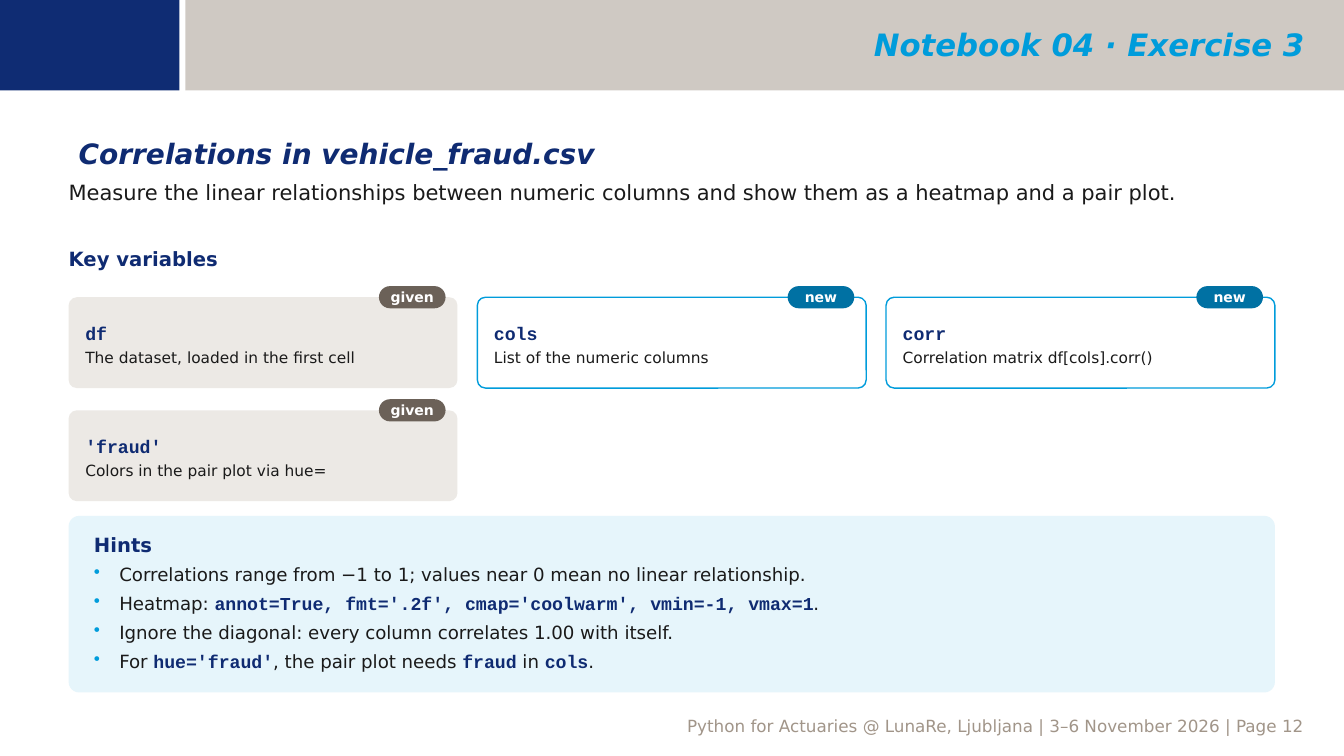
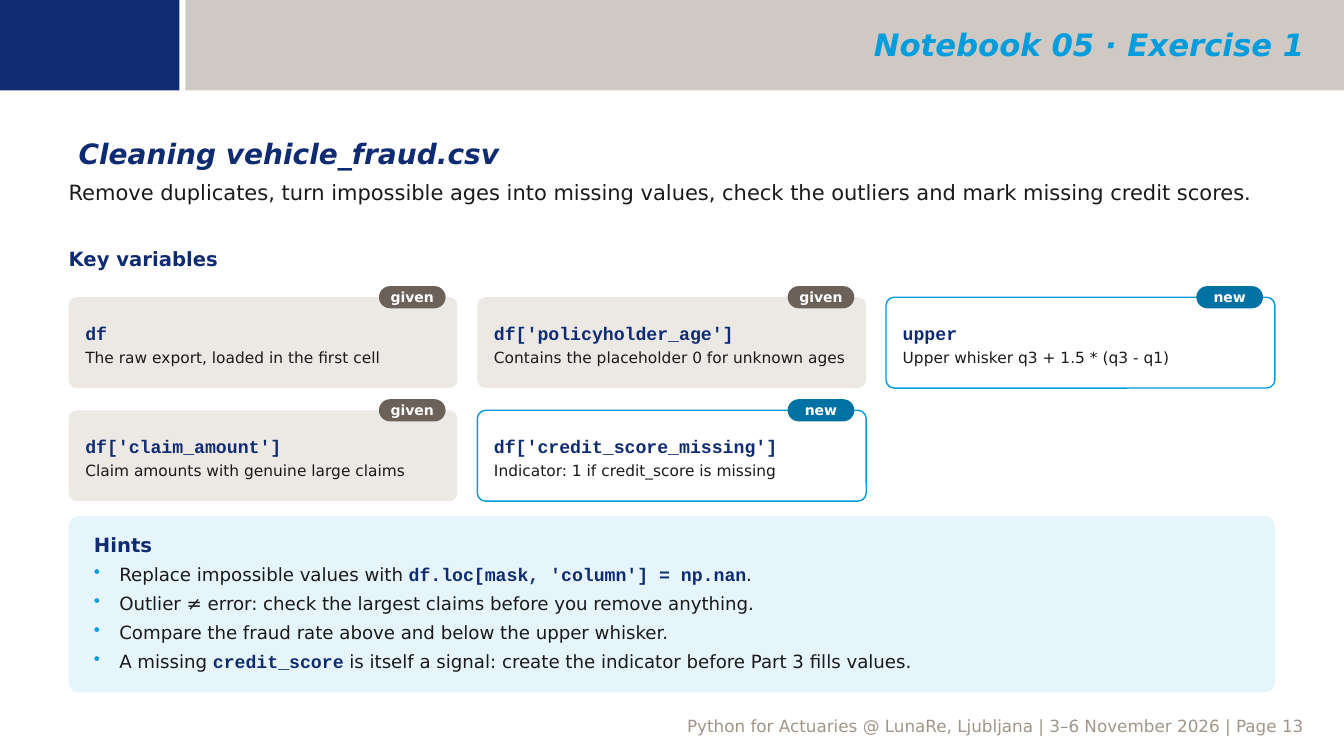
"""Build two exercise slides with key-variable cards and hints."""
from lxml.etree import SubElement
from pptx import Presentation
from pptx.dml.color import RGBColor
from pptx.enum.shapes import MSO_SHAPE
from pptx.enum.text import MSO_ANCHOR, PP_ALIGN
from pptx.oxml.ns import qn
from pptx.util import Cm, Pt

NAVY = RGBColor(0x0F, 0x2B, 0x72)
CORNER_NAVY = RGBColor(0x0F, 0x2C, 0x73)
CYAN = RGBColor(0x00, 0x9C, 0xDB)
TAUPE = RGBColor(0xA1, 0x95, 0x89)
INK = RGBColor(0x1A, 0x1A, 0x1A)
WHITE = RGBColor(0xFF, 0xFF, 0xFF)
SAND = RGBColor(0xEC, 0xE9, 0xE5)
BROWN = RGBColor(0x6B, 0x61, 0x58)
TEAL = RGBColor(0x00, 0x71, 0xA3)
PALE_BLUE = RGBColor(0xE6, 0xF5, 0xFB)

SANS, MONO = "DejaVu Sans", "Courier New"
SLIDE_WIDTH, SLIDE_HEIGHT = 33.87, 19.05
BAND_HEIGHT, BAND_LEFT = 2.28, 4.67
LEFT, CONTENT_WIDTH, TEXT_RIGHT = 1.73, 30.4, 32.87
COLUMNS, GAP = 3, 0.5
CARD_WIDTH = (CONTENT_WIDTH - (COLUMNS - 1) * GAP) / COLUMNS
CARD_TOP, CARD_HEIGHT, ROW_STEP = 7.49, 2.29, 2.85
BADGE_WIDTH, BADGE_HEIGHT, BADGE_INSET = 1.68, 0.56, 0.3
CARD_STYLES = {"given": (SAND, None, BROWN), "new": (WHITE, CYAN, TEAL)}
FOOTER = "Python for Actuaries @ LunaRe, Ljubljana | 3–6 November 2026 | Page {}"

EXERCISES = [
    {
        "title": "Notebook 04 · Exercise 3",
        "subtitle": "Correlations in vehicle_fraud.csv",
        "goal": "Measure the linear relationships between numeric columns "
                "and show them as a heatmap and a pair plot.",
        "page": 12,
        "cards": [
            ("df", "The dataset, loaded in the first cell", "given"),
            ("cols", "List of the numeric columns", "new"),
            ("corr", "Correlation matrix df[cols].corr()", "new"),
            ("'fraud'", "Colors in the pair plot via hue=", "given"),
        ],
        "hints": [
            "Correlations range from −1 to 1; values near 0 mean no linear relationship.",
            "Heatmap: `annot=True, fmt='.2f', cmap='coolwarm', vmin=-1, vmax=1`.",
            "Ignore the diagonal: every column correlates 1.00 with itself.",
            "For `hue='fraud'`, the pair plot needs `fraud` in `cols`.",
        ],
    },
    {
        "title": "Notebook 05 · Exercise 1",
        "subtitle": "Cleaning vehicle_fraud.csv",
        "goal": "Remove duplicates, turn impossible ages into missing values, "
                "check the outliers and mark missing credit scores.",
        "page": 13,
        "cards": [
            ("df", "The raw export, loaded in the first cell", "given"),
            ("df['policyholder_age']", "Contains the placeholder 0 for unknown ages", "given"),
            ("upper", "Upper whisker q3 + 1.5 * (q3 - q1)", "new"),
            ("df['claim_amount']", "Claim amounts with genuine large claims", "given"),
            ("df['credit_score_missing']", "Indicator: 1 if credit_score is missing", "new"),
        ],
        "hints": [
            "Replace impossible values with `df.loc[mask, 'column'] = np.nan`.",
            "Outlier ≠ error: check the largest claims before you remove anything.",
            "Compare the fraud rate above and below the upper whisker.",
            "A missing `credit_score` is itself a signal: "
            "create the indicator before Part 3 fills values.",
        ],
    },
]


def add_panel(slide, left, top, width, height, fill, line=None, radius=None, margins=(0, 0, 0, 0)):
    """Add a flat rectangle, rounded if a radius is given."""
    kind = MSO_SHAPE.RECTANGLE if radius is None else MSO_SHAPE.ROUNDED_RECTANGLE
    shape = slide.shapes.add_shape(kind, Cm(left), Cm(top), Cm(width), Cm(height))
    shape.shadow.inherit = False
    shape.fill.solid()
    shape.fill.fore_color.rgb = fill
    if radius is not None:
        shape.adjustments[0] = radius
    if line is None:
        shape.line.fill.background()
    else:
        shape.line.color.rgb = line
        shape.line.width = Pt(1)
    frame = shape.text_frame
    frame.word_wrap = True
    frame.margin_left, frame.margin_top, frame.margin_right, frame.margin_bottom = map(Cm, margins)
    return shape


def write(paragraph, text, size, color, bold=False, italic=False, font=SANS, align=PP_ALIGN.LEFT):
    """Write text, setting the parts between backticks as code."""
    paragraph.alignment = align
    for index, part in enumerate(text.split("`")):
        is_code = index % 2 == 1
        run = paragraph.add_run()
        run.text = part
        run.font.name = MONO if is_code else font
        run.font.size = Pt(size)
        run.font.bold = bold or is_code
        run.font.italic = italic
        run.font.color.rgb = NAVY if is_code else color


presentation = Presentation()
presentation.slide_width = Cm(SLIDE_WIDTH)
presentation.slide_height = Cm(SLIDE_HEIGHT)

for exercise in EXERCISES:
    slide = presentation.slides.add_slide(presentation.slide_layouts[6])

    band = add_panel(slide, BAND_LEFT, 0, SLIDE_WIDTH - BAND_LEFT, BAND_HEIGHT, TAUPE)
    band_color = band.fill._xPr.find(qn("a:solidFill"))[0]
    SubElement(band_color, qn("a:alpha")).set("val", "50000")
    add_panel(slide, 0, 0, 4.52, BAND_HEIGHT, CORNER_NAVY)

    content_right = LEFT + CONTENT_WIDTH
    for text, left, top, right, height, size, color, bold, italic, align in [
        (exercise["title"], 5.38, 0.05, TEXT_RIGHT, 2.13, 22, CYAN, True, True, PP_ALIGN.RIGHT),
        (exercise["subtitle"], 1.98, 3.43, content_right, 0.9, 20, NAVY, True, True, PP_ALIGN.LEFT),
        (exercise["goal"], LEFT, 4.52, content_right, 1.57, 15, INK, False, False, PP_ALIGN.LEFT),
        ("Key variables", LEFT, 6.22, 16.97, 0.81, 14, NAVY, True, False, PP_ALIGN.LEFT),
        (FOOTER.format(exercise["page"]), 2.18, 18.03, TEXT_RIGHT, 0.5, 12, TAUPE,
         False, False, PP_ALIGN.RIGHT),
    ]:
        box = slide.shapes.add_textbox(Cm(left), Cm(top), Cm(right - left), Cm(height))
        frame = box.text_frame
        frame.word_wrap = True
        frame.margin_left = frame.margin_top = frame.margin_right = frame.margin_bottom = 0
        if text == exercise["title"]:
            frame.vertical_anchor = MSO_ANCHOR.MIDDLE
        write(frame.paragraphs[0], text, size, color, bold, italic, align=align)

    for index, (name, description, status) in enumerate(exercise["cards"]):
        row, column = divmod(index, COLUMNS)
        left = LEFT + column * (CARD_WIDTH + GAP)
        top = CARD_TOP + row * ROW_STEP
        fill, line, badge_fill = CARD_STYLES[status]

        card = add_panel(slide, left, top, CARD_WIDTH, CARD_HEIGHT, fill, line, 0.09,
                         (0.36, 0.25, 0.36, 0.15))
        frame = card.text_frame
        frame.vertical_anchor = MSO_ANCHOR.MIDDLE
        write(frame.paragraphs[0], name, 13, NAVY, bold=True, font=MONO)
        paragraph = frame.add_paragraph()
        paragraph.space_before = Pt(3)
        write(paragraph, description, 11, INK)

        badge = add_panel(slide, left + CARD_WIDTH - BADGE_INSET - BADGE_WIDTH,
                          top - BADGE_HEIGHT / 2, BADGE_WIDTH, BADGE_HEIGHT, badge_fill, radius=0.5)
        badge.text_frame.vertical_anchor = MSO_ANCHOR.MIDDLE
        write(badge.text_frame.paragraphs[0], status, 10, WHITE, bold=True, align=PP_ALIGN.CENTER)

    hints = add_panel(slide, LEFT, 13.0, CONTENT_WIDTH, 4.45, PALE_BLUE, radius=0.06,
                      margins=(0.56, 0.36, 0.56, 0.25))
    frame = hints.text_frame
    frame.vertical_anchor = MSO_ANCHOR.TOP
    write(frame.paragraphs[0], "Hints", 14, NAVY, bold=True)
    for hint in exercise["hints"]:
        paragraph = frame.add_paragraph()
        properties = paragraph._p.get_or_add_pPr()
        properties.set("marL", str(Cm(0.64)))
        properties.set("indent", str(-Cm(0.64)))
        bullet_color = SubElement(properties, qn("a:buClr"))
        SubElement(bullet_color, qn("a:srgbClr")).set("val", str(CYAN))
        SubElement(properties, qn("a:buChar")).set("char", "•")
        paragraph.space_before = Pt(5)
        write(paragraph, hint, 13, INK)

presentation.save("out.pptx")
